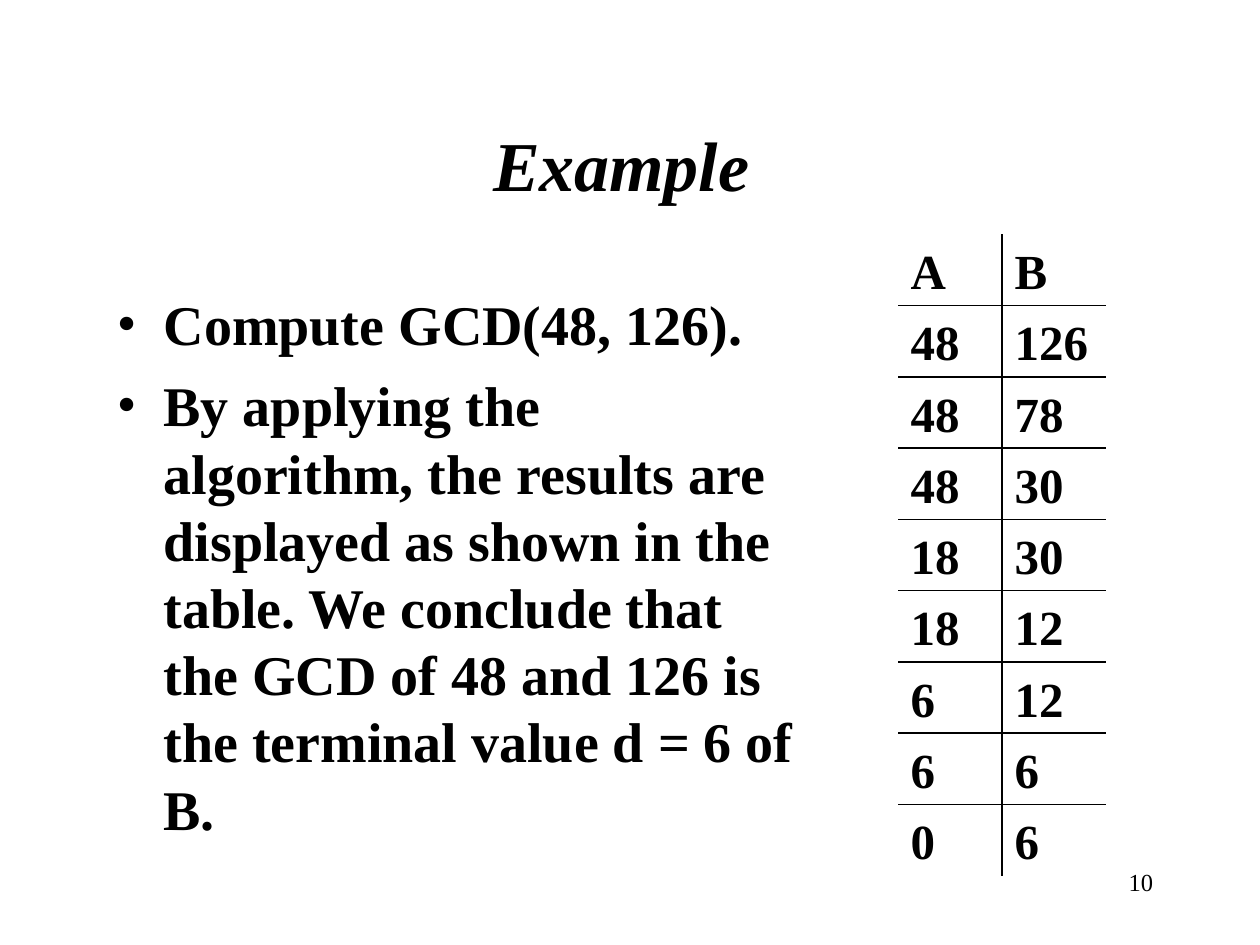
"""Build a slide that works through a GCD example beside its grid of steps."""
from lxml.etree import SubElement
from pptx import Presentation
from pptx.dml.color import RGBColor
from pptx.enum.shapes import MSO_CONNECTOR
from pptx.enum.text import MSO_ANCHOR, PP_ALIGN
from pptx.oxml.ns import qn
from pptx.util import Inches, Pt

INK = "000000"
FONT = "Times New Roman"


def color(value):
    return RGBColor.from_string(value)


def add_text(left, top, width, height, lines, size, bold=True, italic=False, before=0):
    shape = slide.shapes.add_textbox(Inches(left), Inches(top), Inches(width), Inches(height))
    frame = shape.text_frame
    frame.word_wrap = True
    for index, line in enumerate(lines):
        paragraph = frame.add_paragraph() if index else frame.paragraphs[0]
        paragraph.space_before = Pt(before)
        run = paragraph.add_run()
        run.text = line
        run.font.name = FONT
        run.font.size = Pt(size)
        run.font.bold = bold
        run.font.italic = italic
        run.font.color.rgb = color(INK)
    return frame


presentation = Presentation()
presentation.slide_width = Inches(10)
presentation.slide_height = Inches(7.5)
slide = presentation.slides.add_slide(presentation.slide_layouts[6])

number = add_text(7.17, 6.83, 2.08, 0.5, ["10"], 14, bold=False)
number.paragraphs[0].alignment = PP_ALIGN.RIGHT

title = add_text(0.75, 0.67, 8.5, 1.25, ["Example "], 40, italic=True)
title.vertical_anchor = MSO_ANCHOR.MIDDLE
title.paragraphs[0].alignment = PP_ALIGN.CENTER

bullets = [
    "Compute GCD(48, 126).",
    "By applying the algorithm, the results are displayed as shown in the table. "
    "We conclude that the GCD of 48 and 126 is the terminal value d = 6 of B.",
]
body = add_text(0.83, 2.25, 5.59, 4.5, bullets, 32, before=8)
for paragraph in body.paragraphs:
    properties = paragraph._p.get_or_add_pPr()
    properties.set("marL", str(Inches(0.37)))
    properties.set("indent", str(-Inches(0.37)))
    bullet_color = SubElement(properties, qn("a:buClr"))
    SubElement(bullet_color, qn("a:srgbClr"), val=INK)
    SubElement(properties, qn("a:buFont"), typeface=FONT)
    SubElement(properties, qn("a:buChar"), char="•")

steps = [
    ("A", "B"), ("48", "126"), ("48", "78"), ("48", "30"), ("18", "30"),
    ("18", "12"), ("6", "12"), ("6", "6"), ("0", "6"),
]
left, top, width, height = 7.13, 1.86, 1.65, 5.09
column_width = width / 2
row_height = height / len(steps)
for row, values in enumerate(steps):
    for column, value in enumerate(values):
        add_text(
            left + column * column_width, top + row * row_height,
            column_width, row_height, [value], 28, before=7,
        )

rules = [
    (left, top + row * row_height, left + width, top + row * row_height)
    for row in range(1, len(steps))
]
rules.append((left + column_width, top, left + column_width, top + height))
for ends in rules:
    rule = slide.shapes.add_connector(MSO_CONNECTOR.STRAIGHT, *map(Inches, ends))
    rule.line.color.rgb = color(INK)
    rule.line.width = Pt(1)
    SubElement(rule._element.spPr, qn("a:effectLst"))

presentation.save("out.pptx")
